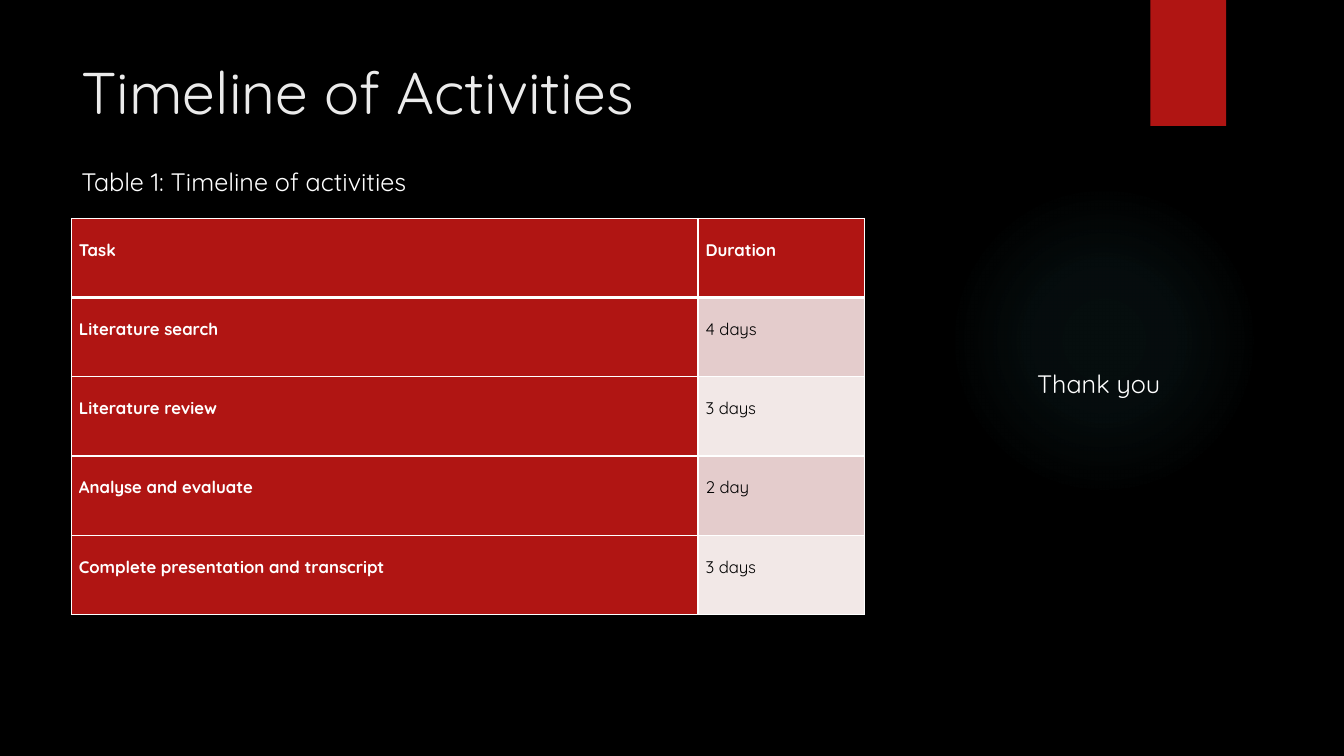
from dataclasses import dataclass

from lxml.etree import SubElement
from pptx import Presentation
from pptx.dml.color import RGBColor
from pptx.enum.shapes import MSO_SHAPE as Shape
from pptx.enum.text import MSO_ANCHOR as Anchor, MSO_AUTO_SIZE as AutoSize, PP_ALIGN as Align
from pptx.oxml.ns import qn
from pptx.util import Pt


@dataclass(frozen=True)
class Theme:
    font: str = "Quicksand"
    background: str = "000000"
    title: str = "EBEBEB"
    light: str = "FFFFFF"
    dark: str = "000000"
    accent: str = "B01513"
    bands: tuple = ("E4CCCC", "F2E8E7")
    glow: str = "50B9C1"
    glow_stops: tuple = ((0, 7), (36, 6), (69, 0))
    title_size: int = 42
    body_size: int = 18
    table_size: int = 12
    border: float = 1
    header_border: float = 3


THEME = Theme()
ACTIVITIES = [
    ("Task", "Duration"),
    ("Literature search", "4 days"),
    ("Literature review", "3 days"),
    ("Analyse and evaluate", "2 day"),
    ("Complete presentation and transcript", "3 days"),
]


def paint(fill, color):
    fill.solid()
    fill.fore_color.rgb = RGBColor.from_string(color)


def style_font(font, size, color, bold=False):
    font.name = THEME.font
    font.size = Pt(size)
    font.bold = bold
    font.color.rgb = RGBColor.from_string(color)


def add_plain_shape(slide, kind, box):
    shape = slide.shapes.add_shape(kind, *map(Pt, box))
    shape.shadow.inherit = False
    shape.line.fill.background()
    return shape


def add_glow(slide, box):
    glow = add_plain_shape(slide, Shape.OVAL, box)
    glow.fill.gradient()
    gradient = glow.element.spPr.find(qn("a:gradFill"))
    for child in list(gradient):
        gradient.remove(child)
    stops = SubElement(gradient, qn("a:gsLst"))
    for position, alpha in THEME.glow_stops:
        stop = SubElement(stops, qn("a:gs"), pos=str(position * 1000))
        color = SubElement(stop, qn("a:srgbClr"), val=THEME.glow)
        SubElement(color, qn("a:alpha"), val=str(alpha * 1000))
    circle = SubElement(gradient, qn("a:path"), path="circle")
    SubElement(circle, qn("a:fillToRect"), l="50000", t="50000", r="50000", b="50000")


def add_ribbon(slide, box):
    ribbon = add_plain_shape(slide, Shape.RECTANGLE, box)
    paint(ribbon.fill, THEME.accent)


def add_text(slide, box, text, size, color, wrap=False):
    text_box = slide.shapes.add_textbox(*map(Pt, box))
    frame = text_box.text_frame
    frame.word_wrap = wrap
    frame.auto_size = AutoSize.NONE if wrap else AutoSize.SHAPE_TO_FIT_TEXT
    frame.vertical_anchor = Anchor.TOP
    paragraph = frame.paragraphs[0]
    paragraph.text = text
    style_font(paragraph.font, size, color)


def set_borders(cell, widths):
    properties = cell._tc.get_or_add_tcPr()
    for index, (side, width) in enumerate(widths.items()):
        line = SubElement(properties, qn(f"a:ln{side}"), w=str(Pt(width)))
        fill = SubElement(line, qn("a:solidFill"))
        SubElement(fill, qn("a:srgbClr"), val=THEME.light)
        properties.insert(index, line)


def fill_cell(cell, text, row, column):
    is_header = row == 0
    is_label = is_header or column == 0
    paint(cell.fill, THEME.accent if is_label else THEME.bands[(row - 1) % 2])
    set_borders(cell, {
        "L": THEME.border,
        "R": THEME.border,
        "T": THEME.header_border if row == 1 else THEME.border,
        "B": THEME.header_border if is_header else THEME.border,
    })
    cell.margin_left = cell.margin_right = Pt(5.4)
    cell.margin_top = cell.margin_bottom = 0
    paragraph = cell.text_frame.paragraphs[0]
    paragraph.text = text
    paragraph.alignment = Align.JUSTIFY
    paragraph.line_spacing = 2.0
    style_font(paragraph.font, THEME.table_size, THEME.light if is_label else THEME.dark, is_label)


def add_activity_table(slide, box, activities, task_share):
    left, top, width, height = box
    frame = slide.shapes.add_table(len(activities), 2, *map(Pt, box))
    table = frame.table
    table.columns[0].width = Pt(width * task_share)
    table.columns[1].width = Pt(width * (1 - task_share))
    for row, texts in enumerate(activities):
        table.rows[row].height = Pt(height / len(activities))
        for column, text in enumerate(texts):
            fill_cell(table.cell(row, column), text, row, column)


def build_timeline_slide(presentation):
    slide = presentation.slides.add_slide(presentation.slide_layouts[6])
    paint(slide.background.fill, THEME.background)
    margin = 51
    add_glow(slide, (677.5, 131.8, 221.8, 221.8))
    add_ribbon(slide, (821.8, 0, 54, 90))
    add_text(slide, (margin, 36, 741, 110), "Timeline of Activities",
             THEME.title_size, THEME.title, wrap=True)
    add_activity_table(slide, (margin, 156, 566.6, 283), ACTIVITIES, 0.79)
    add_text(slide, (margin, 115.2, 262, 29), "Table 1: Timeline of activities",
             THEME.body_size, THEME.light)
    add_text(slide, (733.7, 259.3, 103.7, 29), "Thank you", THEME.body_size, THEME.light)


def main():
    presentation = Presentation()
    presentation.slide_width = Pt(960)
    presentation.slide_height = Pt(540)
    build_timeline_slide(presentation)
    presentation.save("out.pptx")


if __name__ == "__main__":
    main()
